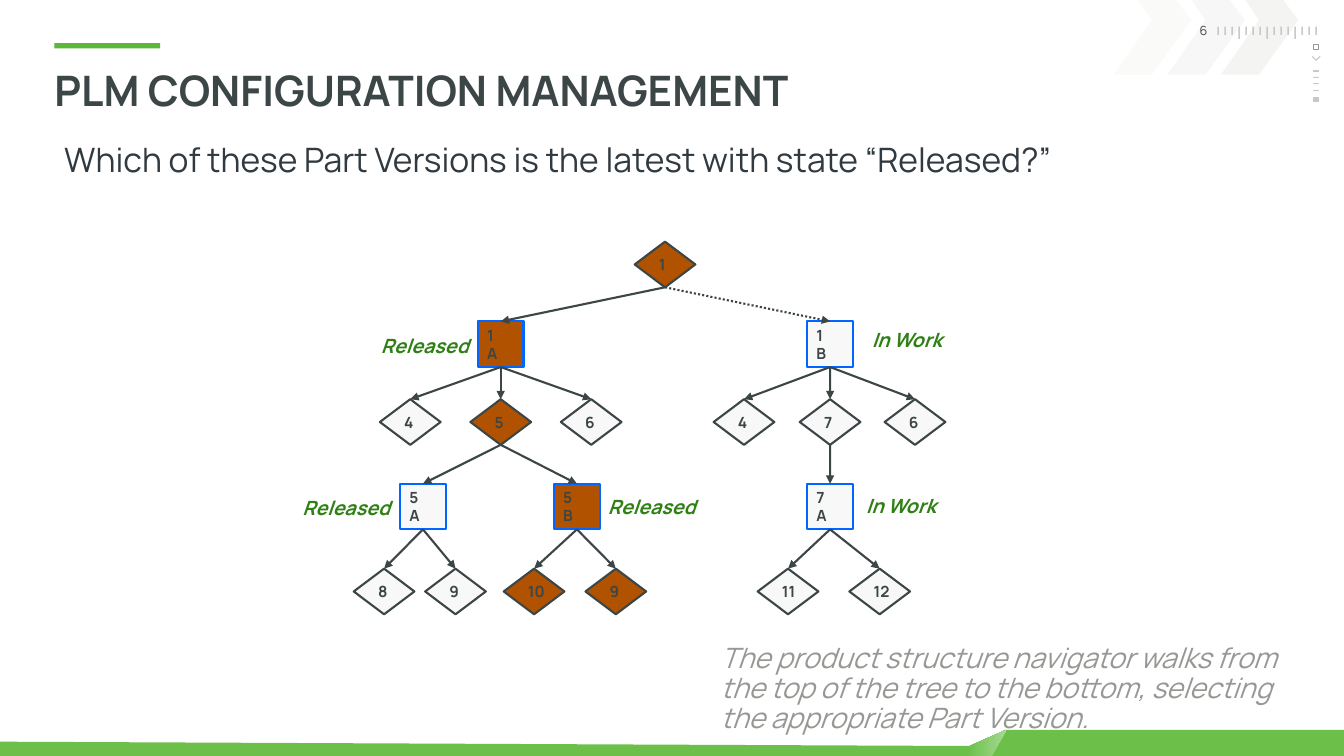
from dataclasses import dataclass

from lxml.etree import SubElement
from pptx import Presentation
from pptx.dml.color import RGBColor
from pptx.enum.dml import MSO_LINE
from pptx.enum.shapes import MSO_CONNECTOR, MSO_SHAPE
from pptx.enum.text import MSO_ANCHOR, MSO_AUTO_SIZE, PP_ALIGN
from pptx.oxml.ns import qn
from pptx.util import Cm, Pt

GREEN = RGBColor(0x5A, 0xB7, 0x3A)
FOOTER_GREEN = RGBColor(0x6C, 0xC0, 0x4A)
PALE_GREEN = RGBColor(0xA7, 0xD9, 0x92)
STATE_GREEN = RGBColor(0x30, 0x80, 0x16)
SLATE = RGBColor(0x3D, 0x46, 0x47)
INK = RGBColor(0x30, 0x3A, 0x40)
SILVER = RGBColor(0xC8, 0xC9, 0xC7)
GREY = RGBColor(0x96, 0x98, 0x94)
BLUE = RGBColor(0x00, 0x66, 0xFF)
RUST = RGBColor(0xB0, 0x52, 0x00)
OFF_WHITE = RGBColor(0xF8, 0xF8, 0xF8)

ROW_TOPS = (6.09, 8.1, 10.06, 12.19, 14.33)
NODE_HEIGHT = 1.15
DIAMOND_WIDTH = 1.53
NODE_INSETS = (0.23, 0.13)
TEXT_INSETS = (0.25, 0.13)


@dataclass
class Part:
    """A node of the product structure, placed by its centre in cm."""
    center: float
    label: str
    children: tuple = ()
    selected: bool = False
    dotted: bool = False


PRODUCT = Part(16.76, "1", selected=True, children=(
    Part(12.62, "1\nA", selected=True, children=(
        Part(10.34, "4"),
        Part(12.62, "5", selected=True, children=(
            Part(10.66, "5\nA", (Part(9.68, "8"), Part(11.48, "9"))),
            Part(14.54, "5\nB", selected=True, children=(
                Part(13.46, "10", selected=True),
                Part(15.52, "9", selected=True))))),
        Part(14.9, "6"))),
    Part(20.92, "1\nB", dotted=True, children=(
        Part(18.75, "4"),
        Part(20.92, "7", (
            Part(20.92, "7\nA", (Part(19.86, "11"), Part(22.17, "12"))),)),
        Part(23.06, "6")))))

STATES = (
    ("In Work", 21.74, 8.13, 2.34),
    ("Released", 9.37, 8.28, 2.69),
    ("Released", 7.39, 12.37, 2.69),
    ("Released", 15.09, 12.34, 2.69),
    ("In Work", 21.59, 12.32, 2.34),
)


class SlideBuilder:
    font_name = "Manrope"

    def __init__(self, presentation):
        self.slide = presentation.slides.add_slide(presentation.slide_layouts[5])
        self.shapes = self.slide.shapes

    def set_text(self, shape, text, color, font, frame=None, paragraph_format=None,
                 insets=(0, 0)):
        text_frame = shape.text_frame
        text_frame.text = text
        horizontal, vertical = map(Cm, insets)
        frame_values = {
            "margin_left": horizontal, "margin_right": horizontal,
            "margin_top": vertical, "margin_bottom": vertical,
            "word_wrap": True, "auto_size": MSO_AUTO_SIZE.NONE,
            "vertical_anchor": MSO_ANCHOR.TOP, **(frame or {})}
        for name, value in frame_values.items():
            setattr(text_frame, name, value)
        for paragraph in text_frame.paragraphs:
            values = {"alignment": PP_ALIGN.LEFT, **(paragraph_format or {})}
            for name, value in values.items():
                setattr(paragraph, name, value)
            run_font = paragraph.runs[0].font
            for name, value in {"name": self.font_name, **font}.items():
                setattr(run_font, name, value)
            run_font.color.rgb = color

    def title(self, text, box, color, font, **formats):
        shape = self.shapes.title
        for name, value in zip(("left", "top", "width", "height"), box):
            setattr(shape, name, Cm(value))
        self.set_text(shape, text, color, font, **formats)

    def text(self, text, box, color, font, **formats):
        shape = self.shapes.add_textbox(*map(Cm, box))
        self.set_text(shape, text, color, font, **formats)

    def paint(self, shape, fill=None, line=None, width=0.5):
        shape.shadow.inherit = False
        if fill is None:
            shape.fill.background()
        else:
            shape.fill.solid()
            shape.fill.fore_color.rgb = fill
        if line is None:
            shape.line.fill.background()
        else:
            shape.line.color.rgb = line
            shape.line.width = Pt(width)
        return shape

    def shape(self, kind, box, **style):
        return self.paint(self.shapes.add_shape(kind, *map(Cm, box)), **style)

    def outline(self, points, close=True, **style):
        start, *others = [(Cm(x), Cm(y)) for x, y in points]
        builder = self.shapes.build_freeform(*start)
        builder.add_line_segments(others, close=close)
        return self.paint(builder.convert_to_shape(), **style)

    def arrow(self, parent, child, dotted):
        """Join the bottom of one node to the top of another."""
        connector = self.shapes.add_connector(MSO_CONNECTOR.STRAIGHT, 0, 0, 0, 0)
        connector.begin_connect(parent, 2)
        connector.end_connect(child, 0)
        connector.line.color.rgb = SLATE
        connector.line.width = Pt(1.5)
        if dotted:
            connector.line.dash_style = MSO_LINE.ROUND_DOT
        properties = connector.element.spPr
        SubElement(properties.find(qn("a:ln")), qn("a:tailEnd"), type="triangle")
        SubElement(properties, qn("a:effectLst"))

    def tree(self, part, level=0):
        """Draw a part and all below it; odd levels are part versions."""
        is_version = level % 2 == 1
        kind = MSO_SHAPE.RECTANGLE if is_version else MSO_SHAPE.FLOWCHART_DECISION
        width = NODE_HEIGHT if is_version else DIAMOND_WIDTH
        node = self.shape(
            kind, (part.center - width / 2, ROW_TOPS[level], width, NODE_HEIGHT),
            fill=RUST if part.selected else OFF_WHITE,
            line=BLUE if is_version else SLATE, width=1.5)
        self.set_text(node, part.label, SLATE, {"size": Pt(11), "bold": True},
                      frame={"word_wrap": False, "vertical_anchor": MSO_ANCHOR.MIDDLE},
                      insets=NODE_INSETS)
        for child in part.children:
            self.arrow(node, self.tree(child, level + 1), child.dotted)
        return node


def draw_decoration(builder):
    builder.shape(MSO_SHAPE.RECTANGLE, (1.37, 1.09, 2.67, 0.13), fill=GREEN)
    chevron = ((0.61, 0), (1.57, 0), (1.95, 0.51), (0.96, 1.88), (0, 1.88), (0.96, 0.51))
    for index, opacity in enumerate((9, 14, 20)):
        left = 28.07 + 1.35 * index
        shape = builder.outline([(left + x, y) for x, y in chevron], fill=SILVER)
        color = shape.element.spPr.find(qn("a:solidFill"))[0]
        SubElement(color, qn("a:alpha"), val=str(opacity * 1000))

    for index in range(15):
        height = 0.31 if index % 4 == 3 else 0.21
        builder.shape(MSO_SHAPE.RECTANGLE, (30.68 + 2.47 * index / 14, 0.67, 0.04, height),
                      fill=SILVER)
    builder.shape(MSO_SHAPE.RECTANGLE, (33.1, 1.11, 0.12, 0.12), line=GREY, width=0.25)
    builder.outline(((33.07, 1.42), (33.17, 1.52), (33.27, 1.42)), close=False,
                    line=SILVER, width=0.75)
    for top, height in ((1.78, 0.01), (1.94, 0.01), (2.1, 0.01), (2.27, 0.01), (2.46, 0.1)):
        builder.shape(MSO_SHAPE.RECTANGLE, (33.1, top, 0.12, height),
                      fill=SILVER, line=SILVER)

    builder.outline(((25.32, 18.39), (33.87, 18.39), (33.87, 19.05), (0, 19.05),
                     (0, 18.69), (24.64, 18.8)), fill=FOOTER_GREEN)
    fold = builder.outline(((25.37, 18.39), (24.99, 19.05), (23.85, 19.05)))
    fold.fill.gradient()
    fold.fill.gradient_angle = 0
    for stop, position, color in zip(fold.fill.gradient_stops, (0.35, 1),
                                     (FOOTER_GREEN, PALE_GREEN)):
        stop.position = position
        stop.color.rgb = color


def main():
    presentation = Presentation()
    presentation.slide_width = Cm(33.87)
    presentation.slide_height = Cm(19.05)
    builder = SlideBuilder(presentation)
    draw_decoration(builder)
    builder.text("6", (28.78, 0.58, 1.65, 0.38), SLATE, {"size": Pt(9)},
                 paragraph_format={"alignment": PP_ALIGN.RIGHT})
    builder.title("PLM CONFIGURATION MANAGEMENT", (1.37, 1.88, 29.97, 1.02), SLATE,
                  {"size": Pt(30), "bold": True}, paragraph_format={"line_spacing": 0.8})
    builder.text("Which of these Part Versions is the latest with state “Released?”",
                 (1.37, 3.48, 29.97, 1.5), INK, {"size": Pt(24)},
                 paragraph_format={"line_spacing": 0.9}, insets=TEXT_INSETS)
    builder.tree(PRODUCT)
    for state, left, top, width in STATES:
        builder.text(state, (left, top, width, 0.84), STATE_GREEN,
                     {"size": Pt(14), "bold": True, "italic": True},
                     frame={"word_wrap": False}, insets=NODE_INSETS)
    builder.text("The product structure navigator walks from the top of the tree to the "
                 "bottom, selecting the appropriate Part Version.",
                 (17.91, 16.1, 15.29, 2.67), GREY, {"size": Pt(20), "italic": True},
                 paragraph_format={"line_spacing": 0.9}, insets=TEXT_INSETS)
    presentation.save("out.pptx")


if __name__ == "__main__":
    main()
